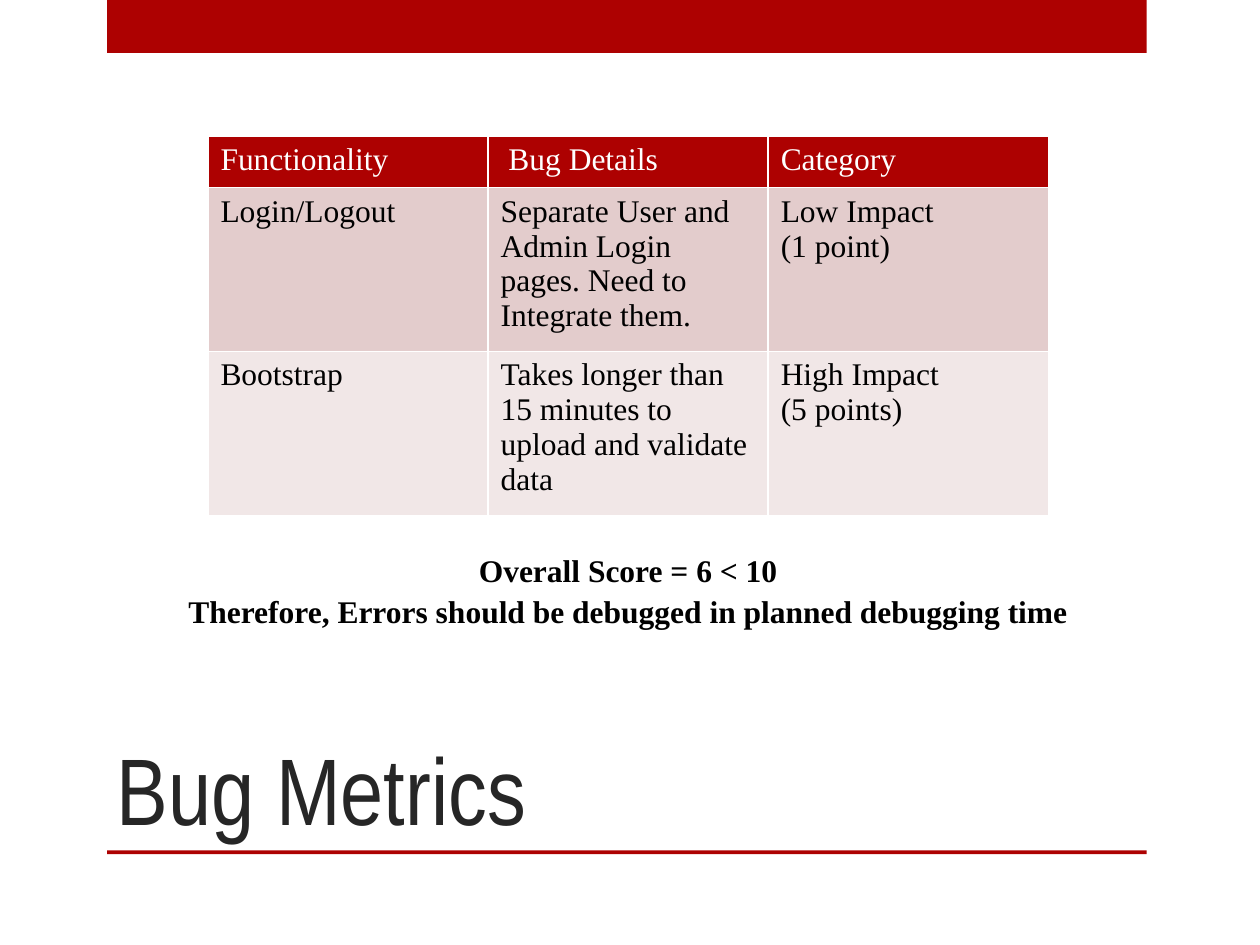
from pptx import Presentation
from pptx.dml.color import RGBColor
from pptx.enum.shapes import MSO_SHAPE
from pptx.enum.text import MSO_ANCHOR, PP_ALIGN
from pptx.util import Inches, Pt

RED = "AD0101"
SERIF = "Times New Roman"
ROWS = [
    ("Functionality", " Bug Details", "Category"),
    ("Login/Logout",
     "Separate User and Admin Login pages. Need to Integrate them.",
     "Low Impact\n(1 point)"),
    ("Bootstrap",
     "Takes longer than 15 minutes to upload and validate data",
     "High Impact\n(5 points)"),
]
ROW_FILLS = [RED, "E3CCCC", "F1E7E7"]


def color(hex_string):
    return RGBColor.from_string(hex_string)


def paint(target, hex_string):
    target.fill.solid()
    target.fill.fore_color.rgb = color(hex_string)


def write(frame, text, font_name, size, hex_string, bold=False,
          align=PP_ALIGN.LEFT, spacing=None):
    frame.text = text
    frame.word_wrap = True
    for paragraph in frame.paragraphs:
        paragraph.alignment = align
        paragraph.line_spacing = spacing
        paragraph.font.name = font_name
        paragraph.font.size = Pt(size)
        paragraph.font.bold = bold
        paragraph.font.color.rgb = color(hex_string)


def add_bar(page, top, height):
    bar = page.shapes.add_shape(MSO_SHAPE.RECTANGLE, Inches(0.85), Inches(top),
                                Inches(8.25), Inches(height))
    bar.shadow.inherit = False
    paint(bar, RED)
    bar.line.fill.background()


def add_text(page, left, top, width, height, text, *style,
             anchor=MSO_ANCHOR.TOP, **options):
    box = page.shapes.add_textbox(Inches(left), Inches(top),
                                  Inches(width), Inches(height))
    box.text_frame.vertical_anchor = anchor
    write(box.text_frame, text, *style, **options)


def add_bug_table(page):
    table = page.shapes.add_table(
        len(ROWS), len(ROWS[0]), Inches(1.65), Inches(1.08),
        Inches(6.67), Inches(1.23)).table
    for row_index, (texts, fill) in enumerate(zip(ROWS, ROW_FILLS)):
        text_color = "000000" if row_index else "FFFFFF"
        for column_index, text in enumerate(texts):
            cell = table.cell(row_index, column_index)
            paint(cell, fill)
            write(cell.text_frame, text, SERIF, 18, text_color)


def main():
    deck = Presentation()
    deck.slide_width, deck.slide_height = Inches(10), Inches(7.5)
    page = deck.slides.add_slide(deck.slide_layouts[6])
    add_bar(page, 0, 0.42)
    add_bar(page, 6.75, 0.03)
    add_text(page, 0.83, 5, 7.42, 1.75, "Bug Metrics", "Arial Narrow", 54,
             "262626", anchor=MSO_ANCHOR.BOTTOM)
    add_bug_table(page)
    add_text(page, 1.34, 4.29, 7.29, 0.71,
             "Overall Score = 6 < 10\n"
             "Therefore, Errors should be debugged in planned debugging time",
             SERIF, 18, "000000", bold=True, align=PP_ALIGN.CENTER, spacing=1.1)
    deck.save("out.pptx")


if __name__ == "__main__":
    main()
